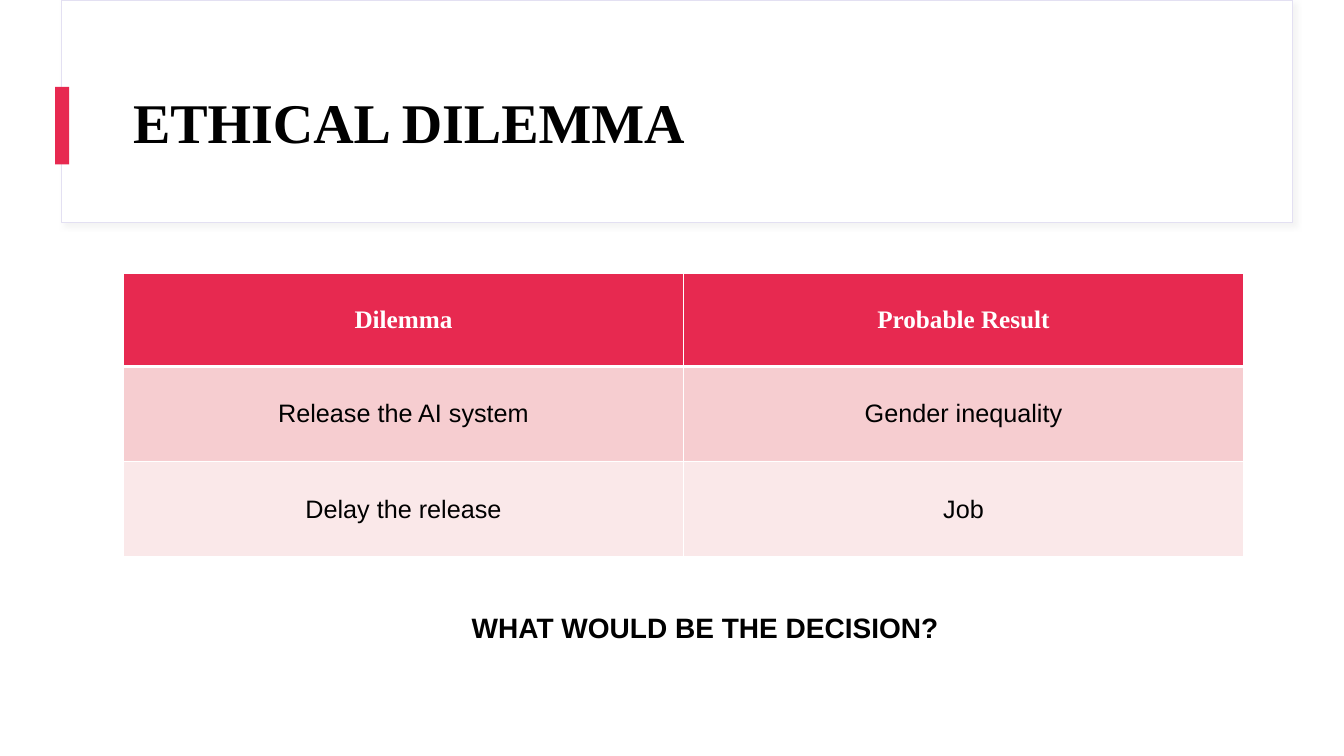
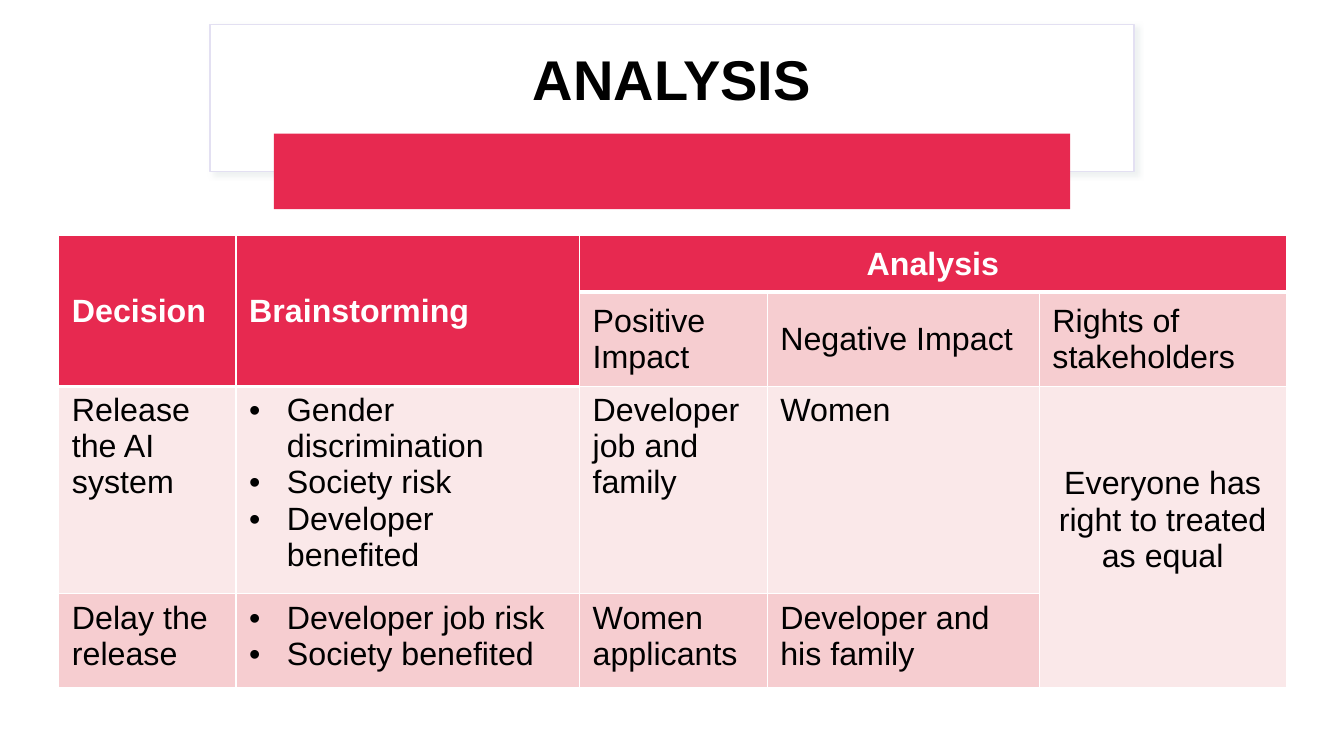
import dataclasses
import typing

import pptx
import pptx.dml.color
import pptx.enum.shapes
import pptx.enum.text
import pptx.oxml
import pptx.oxml.ns
import pptx.util

Pt = pptx.util.Pt
ALIGN = pptx.enum.text.PP_ALIGN
ANCHOR = pptx.enum.text.MSO_ANCHOR
LEFT, CENTER = ALIGN.LEFT, ALIGN.CENTER

COLORS = {
    "accent": "E72950",
    "band_dark": "F6CDD0",
    "band_light": "FAE8E9",
    "frame_line": "E3E0F2",
    "white": "FFFFFF",
    "black": "000000",
}
SANS, SERIF = "Arial", "Times New Roman"
NAMESPACE = 'xmlns:a="http://schemas.openxmlformats.org/drawingml/2006/main"'
SIDE_INSET = 9.36
BULLET_INDENT = 27


@dataclasses.dataclass(frozen=True)
class Box:
    """A place on the page, in points."""
    left: float
    top: float
    width: float
    height: float

    def lengths(self) -> list[pptx.util.Length]:
        """Return the four lengths in python-pptx order."""
        return [Pt(value) for value in dataclasses.astuple(self)]


@dataclasses.dataclass(frozen=True)
class TextStyle:
    """Format of a run of text."""
    size: float
    font: str = SANS
    color: str = "black"
    bold: bool = False


@dataclasses.dataclass(frozen=True)
class Entry:
    """Content of one table cell, possibly spanning others."""
    row: int
    column: int
    lines: tuple[str, ...]
    align: ALIGN = LEFT
    bulleted: bool = False
    row_span: int = 1
    column_span: int = 1
    top_gap: float = 0


@dataclasses.dataclass(frozen=True)
class Grid:
    """A table whose header depth may differ by column."""
    box: Box
    widths: tuple[float, ...]
    heights: tuple[float, ...]
    header_depths: tuple[int, ...]
    middle_rows: int
    header: TextStyle
    body: TextStyle
    entries: tuple[Entry, ...]


def apply(target: typing.Any, **values: typing.Any) -> None:
    """Set each named value on the target."""
    for name, value in values.items():
        setattr(target, name, value)


def rgb(name: str) -> pptx.dml.color.RGBColor:
    """Look up a named colour."""
    return pptx.dml.color.RGBColor.from_string(COLORS[name])


def paint(fill: typing.Any, color: str) -> None:
    """Make a fill solid in a named colour."""
    fill.solid()
    fill.fore_color.rgb = rgb(color)


def write(para: typing.Any, text: str, style: TextStyle, align: ALIGN) -> None:
    """Put one styled run into a paragraph."""
    para.alignment = align
    span = para.add_run()
    span.text = text
    apply(span.font, size=Pt(style.size), name=style.font, bold=style.bold)
    span.font.color.rgb = rgb(style.color)


def add_text(page: typing.Any, box: Box, text: str, style: TextStyle,
             align: ALIGN = LEFT, wrap: bool = True, anchor: ANCHOR = ANCHOR.TOP,
             spacing: float = 1.0) -> None:
    """Add a one-paragraph text box."""
    frame = page.shapes.add_textbox(*box.lengths()).text_frame
    apply(frame, word_wrap=wrap, vertical_anchor=anchor)
    para = frame.paragraphs[0]
    para.line_spacing = spacing
    write(para, text, style, align)


def add_title(page: typing.Any, box: Box, text: str, font: str, align: ALIGN) -> None:
    """Add a title in the shared title style."""
    add_text(page, box, text, TextStyle(40, font, bold=True), align,
             anchor=ANCHOR.MIDDLE, spacing=0.9)


def add_rectangle(page: typing.Any, box: Box, color: str) -> typing.Any:
    """Add a plain rectangle without line or shadow."""
    shape = page.shapes.add_shape(
        pptx.enum.shapes.MSO_SHAPE.RECTANGLE, *box.lengths())
    paint(shape.fill, color)
    shape.line.fill.background()
    shape.shadow.inherit = False
    return shape


def add_title_frame(page: typing.Any, box: Box, line_width: float, shadow: str) -> None:
    """Add the white title frame with a thin line and a soft shadow."""
    frame = add_rectangle(page, box, "white")
    paint(frame.line.fill, "frame_line")
    frame.line.width = Pt(line_width)
    effects = frame._element.spPr.find(pptx.oxml.ns.qn("a:effectLst"))
    effects.append(pptx.oxml.parse_xml(
        f'<a:outerShdw {NAMESPACE} blurRad="{Pt(4)}" dist="{Pt(3)}" dir="2700000"'
        f' algn="tl" rotWithShape="0"><a:srgbClr val="{shadow}">'
        '<a:alpha val="30000"/></a:srgbClr></a:outerShdw>'))


def add_borders(cell: typing.Any, top: float, bottom: float) -> None:
    """Draw white borders around a cell."""
    properties = cell._tc.get_or_add_tcPr()
    for place, (side, width) in enumerate(
            {"L": 1, "R": 1, "T": top, "B": bottom}.items()):
        properties.insert(place, pptx.oxml.parse_xml(
            f'<a:ln{side} {NAMESPACE} w="{Pt(width)}"><a:solidFill>'
            f'<a:srgbClr val="{COLORS["white"]}"/></a:solidFill></a:ln{side}>'))


def add_bullet(para: typing.Any) -> None:
    """Give a paragraph a hanging round bullet."""
    properties = para._p.get_or_add_pPr()
    properties.set("marL", str(Pt(BULLET_INDENT)))
    properties.set("indent", str(-Pt(BULLET_INDENT)))
    for tag in (f'<a:buFont {NAMESPACE} typeface="{SANS}"/>',
                f'<a:buChar {NAMESPACE} char="•"/>'):
        properties.append(pptx.oxml.parse_xml(tag))


def format_cells(table: typing.Any, grid: Grid) -> None:
    """Fill and border every cell by its row and header depth."""
    for column, depth in enumerate(grid.header_depths):
        for row in range(len(grid.heights)):
            cell = table.cell(row, column)
            band = "band_dark" if row % 2 else "band_light"
            paint(cell.fill, "accent" if row < depth else band)
            add_borders(cell, top=3 if row == depth else 1,
                        bottom=3 if row == depth - 1 else 1)


def fill_entry(table: typing.Any, grid: Grid, entry: Entry) -> None:
    """Write one entry and merge the cells it spans."""
    cell = table.cell(entry.row, entry.column)
    if entry.row_span * entry.column_span > 1:
        cell.merge(table.cell(entry.row + entry.row_span - 1,
                              entry.column + entry.column_span - 1))
    middle = entry.row < grid.middle_rows
    inset = 5.04 if middle else 4.32
    apply(cell, margin_left=Pt(SIDE_INSET), margin_right=Pt(SIDE_INSET),
          margin_top=Pt(inset + entry.top_gap), margin_bottom=Pt(inset),
          vertical_anchor=ANCHOR.MIDDLE if middle else ANCHOR.TOP)
    in_header = entry.row < grid.header_depths[entry.column]
    frame = cell.text_frame
    for number, line in enumerate(entry.lines):
        para = frame.add_paragraph() if number else frame.paragraphs[0]
        write(para, line, grid.header if in_header else grid.body, entry.align)
        if entry.bulleted:
            add_bullet(para)


def add_grid(page: typing.Any, grid: Grid) -> None:
    """Add a table with its sizes, colours and entries."""
    table = page.shapes.add_table(
        len(grid.heights), len(grid.widths), *grid.box.lengths()).table
    apply(table, first_row=False, horz_banding=False)
    for column, width in zip(table.columns, grid.widths):
        column.width = Pt(width)
    for row, height in zip(table.rows, grid.heights):
        row.height = Pt(height)
    format_cells(table, grid)
    for entry in grid.entries:
        fill_entry(table, grid, entry)


DILEMMA_ROWS = (
    ("Dilemma", "Probable Result"),
    ("Release the AI system", "Gender inequality"),
    ("Delay the release", "Job"),
)
DILEMMA_GRID = Grid(
    box=Box(88.2, 195.4, 800, 202.5),
    widths=(400, 400), heights=(66.5, 68, 68),
    header_depths=(1, 1), middle_rows=3,
    header=TextStyle(18, SERIF, "white", True), body=TextStyle(18),
    entries=tuple(Entry(row, column, (text,), CENTER)
                  for row, texts in enumerate(DILEMMA_ROWS)
                  for column, text in enumerate(texts)),
)
ANALYSIS_GRID = Grid(
    box=Box(42, 168.4, 876.8, 322.8),
    widths=(126.6, 245.4, 134, 194.4, 176.4), heights=(40.2, 67.4, 148.2, 67),
    header_depths=(2, 2, 1, 1, 1), middle_rows=2,
    header=TextStyle(23, color="white", bold=True), body=TextStyle(23),
    entries=(
        Entry(0, 0, ("Decision",), row_span=2),
        Entry(0, 1, ("Brainstorming",), row_span=2),
        Entry(0, 2, ("Analysis",), CENTER, column_span=3),
        Entry(1, 2, ("Positive Impact",)),
        Entry(1, 3, ("Negative Impact",)),
        Entry(1, 4, ("Rights of stakeholders",)),
        Entry(2, 0, ("Release the AI system",)),
        Entry(2, 1, ("Gender discrimination", "Society risk", "Developer benefited"),
              bulleted=True),
        Entry(2, 2, ("Developer job and family",)),
        Entry(2, 3, ("Women",)),
        Entry(2, 4, ("Everyone has right to treated as equal",), CENTER,
              row_span=2, top_gap=52.4),
        Entry(3, 0, ("Delay the release",)),
        Entry(3, 1, ("Developer job risk", "Society benefited"), bulleted=True),
        Entry(3, 2, ("Women applicants",)),
        Entry(3, 3, ("Developer and his family",)),
    ),
)


def build_dilemma(page: typing.Any) -> None:
    """Build the slide that states the dilemma."""
    add_title_frame(page, Box(44, 0, 879, 159), 0.75, "D9D9D9")
    add_rectangle(page, Box(39.4, 62, 10, 55.4), "accent")
    add_title(page, Box(88, 43.2, 800, 92.8), "ETHICAL DILEMMA", SERIF, LEFT)
    add_grid(page, DILEMMA_GRID)
    add_text(page, Box(329.8, 432.7, 351.4, 31.7), "WHAT WOULD BE THE DECISION?",
             TextStyle(20, bold=True), wrap=False)


def build_analysis(page: typing.Any) -> None:
    """Build the slide that weighs both decisions."""
    add_title_frame(page, Box(150, 17.4, 660, 105), 1, "C8D3D3")
    add_title(page, Box(165.6, 24.5, 628.6, 68.4), "ANALYSIS", SANS, CENTER)
    add_rectangle(page, Box(195.6, 95.4, 568.8, 54), "accent")
    add_grid(page, ANALYSIS_GRID)


def main() -> None:
    """Build the deck and save it."""
    deck = pptx.Presentation()
    apply(deck, slide_width=Pt(960), slide_height=Pt(540))
    blank = deck.slide_layouts[6]
    for build in (build_dilemma, build_analysis):
        build(deck.slides.add_slide(blank))
    deck.save("out.pptx")


main()
